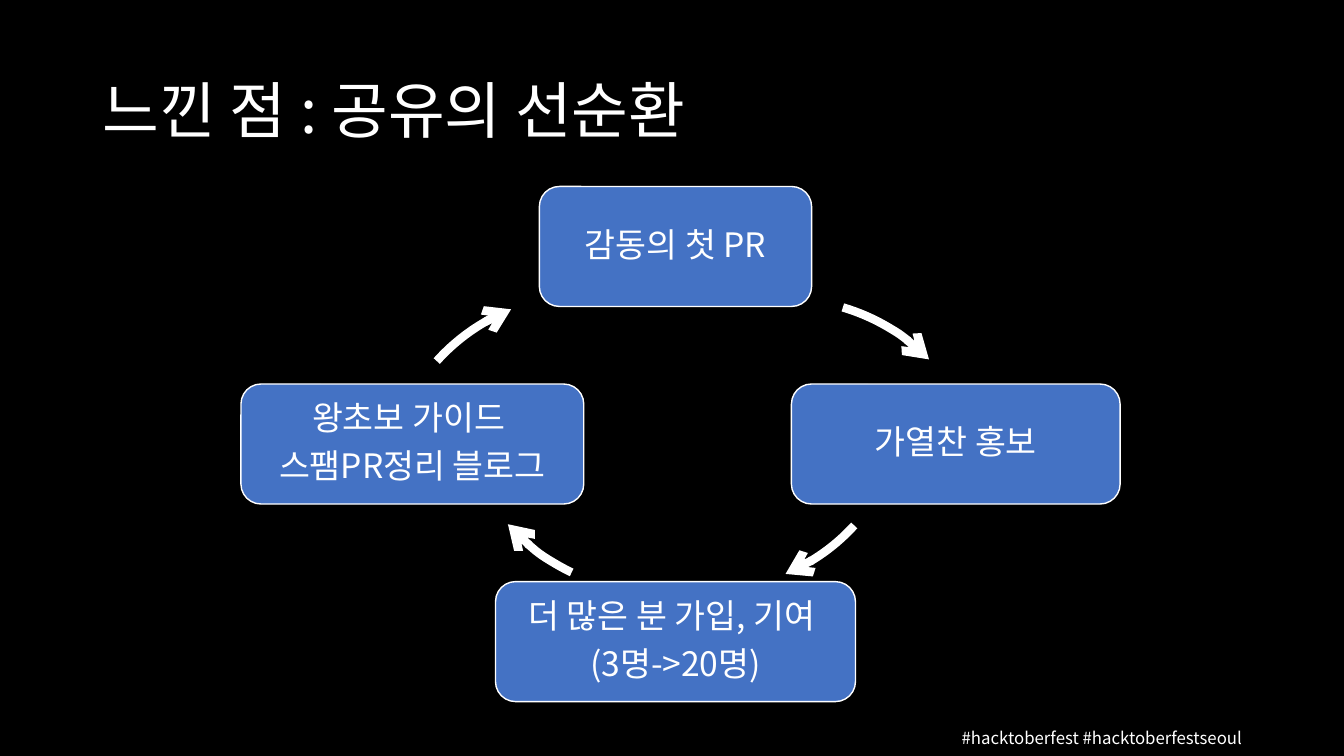
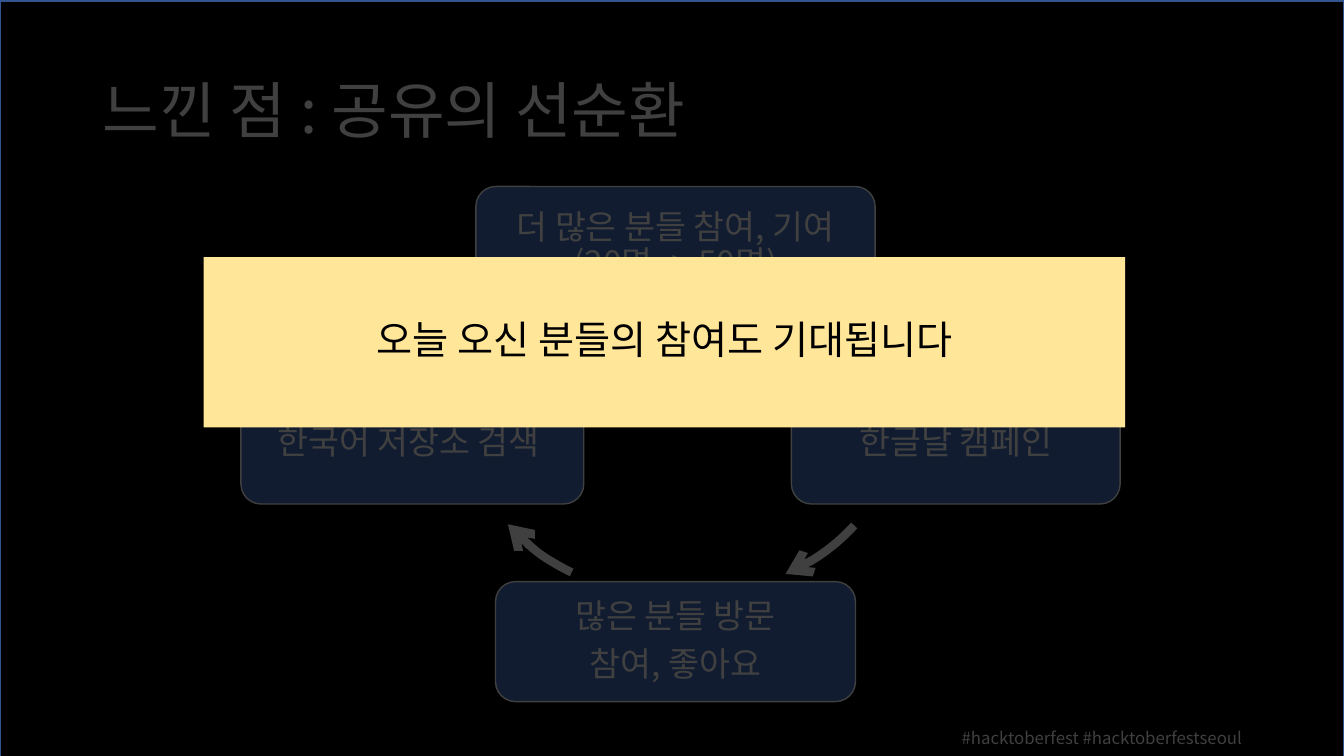
"""Builds two slides that show sharing as a cycle of four steps."""
from dataclasses import dataclass
from math import atan2, degrees

from lxml import etree
from pptx import Presentation, util as u
from pptx.dml.color import RGBColor
from pptx.enum import shapes, text
from pptx.oxml.ns import qn

PX = 9144
WIDE, HIGH = 1333, 750


@dataclass(frozen=True)
class Theme:
    font: str = "Noto Sans CJK KR"
    back: str = "000000"
    ink: str = "FFFFFF"
    box: str = "4472C4"
    edge: str = "325491"
    note: str = "FFE699"
    head: int = 44
    call: int = 28
    body: int = 24
    foot: int = 12
    lead: float = 0.9
    after: float = 8.4
    thin: int = 1
    bold: int = 6
    veil: int = 75


T = Theme()
TITLE = "느낀 점 : 공유의 선순환"
TAGS = "#hacktoberfest #hacktoberfestseoul"
CALL = "오늘 오신 분들의 참여도 기대됩니다"

BOX_H = 119
RING = 393
SPOTS = [(670, 185), (948, 381), (670, 577), (409, 381)]
LOW = [
    ((506, 192), (847, 521), (779, 569)),
    ((455, 194), (567, 568), (504, 520)),
]
SLIDES = [
    {
        "steps": [
            (270, ["감동의 첫 PR"]),
            (326, ["가열찬 홍보"]),
            (357, ["더 많은 분 가입, 기여 ", "(3명->20명)"]),
            (340, ["왕초보 가이드 ", "스팸PR정리 블로그"]),
        ],
        "bends": [
            ((584, 297), (836, 305), (921, 357)),
            ((383, 293), (433, 358), (507, 307)),
        ],
        "call": None,
    },
    {
        "steps": [
            (396, ["더 많은 분들 참여, 기여 (20명 -> 50명)"]),
            (326, ["한글날 캠페인"]),
            (357, ["많은 분들 방문", "참여, 좋아요"]),
            (340, ["한국어 저장소 검색 "]),
        ],
        "bends": [
            ((506, 297), (779, 313), (847, 360)),
            ((455, 294), (504, 361), (567, 313)),
        ],
        "call": CALL,
    },
]


def rgb(tint):
    return RGBColor.from_string(tint)


def emu(*nums):
    return [round(n * PX) for n in nums]


def write(shape, lines, size, tint=T.ink, lead=T.lead, after=0, mid=True):
    frame = shape.text_frame
    frame.word_wrap = True
    frame.vertical_anchor = text.MSO_ANCHOR.MIDDLE
    frame.text = "\n".join(lines)
    for para in frame.paragraphs:
        para.alignment = text.PP_ALIGN.CENTER if mid else text.PP_ALIGN.LEFT
        para.line_spacing = lead
        para.space_after = u.Pt(after)
        for run in para.runs:
            run.font.name = T.font
            run.font.size = u.Pt(size)
            run.font.color.rgb = rgb(tint)


def label(slide, area, line, size, **style):
    write(slide.shapes.add_textbox(*emu(*area)), [line], size, **style)


def block(slide, kind, area, fill, line=None):
    shape = slide.shapes.add_shape(kind, *emu(*area))
    shape.shadow.inherit = False
    shape.fill.solid()
    shape.fill.fore_color.rgb = rgb(fill)
    if line:
        shape.line.color.rgb = rgb(line)
        shape.line.width = u.Pt(T.thin)
    else:
        shape.line.fill.background()
    return shape


def step(slide, spot, width, lines):
    mid, top = spot
    shape = block(slide, shapes.MSO_SHAPE.ROUNDED_RECTANGLE,
                  (mid - width / 2, top, width, BOX_H), T.box, T.ink)
    frame = shape.text_frame
    frame.margin_top = frame.margin_bottom = u.Inches(0.1)
    write(shape, lines, T.body, after=T.after)


def arrow(slide, spot, *ends):
    left, top = spot
    shape = slide.shapes.add_shape(shapes.MSO_SHAPE.ARC,
                                   *emu(left, top, RING, RING))
    for i, (x, y) in enumerate(ends):
        turn = atan2(y - top - RING / 2, x - left - RING / 2)
        shape.adjustments[i] = degrees(turn) % 360 * 0.6
    shape.shadow.inherit = False
    shape.fill.background()
    shape.line.color.rgb = rgb(T.ink)
    shape.line.width = u.Pt(T.bold)
    line = shape._element.spPr.find(qn("a:ln"))
    etree.SubElement(line, qn("a:tailEnd"), type="arrow")


def cover(slide, line):
    rect = shapes.MSO_SHAPE.RECTANGLE
    veil = block(slide, rect, (0, 1, WIDE, 759), T.back, T.edge)
    tint = veil._element.spPr.find(qn("a:solidFill"))[0]
    etree.SubElement(tint, qn("a:alpha"), val=str(T.veil * 1000))
    note = block(slide, rect, (202, 255, 914, 169), T.note)
    write(note, [line], T.call, tint=T.back)


def build(deck, data):
    slide = deck.slides.add_slide(deck.slide_layouts[6])
    slide.background.fill.solid()
    slide.background.fill.fore_color.rgb = rgb(T.back)
    label(slide, (92, 40, 1150, 145), TITLE, T.head, mid=False)
    label(slide, (868, 714, 450, 35), TAGS, T.foot, lead=1.0)
    for spot, (width, lines) in zip(SPOTS, data["steps"]):
        step(slide, spot, width, lines)
    for bend in data["bends"] + LOW:
        arrow(slide, *bend)
    if data["call"]:
        cover(slide, data["call"])


def main():
    deck = Presentation()
    deck.slide_width, deck.slide_height = emu(WIDE, HIGH)
    for data in SLIDES:
        build(deck, data)
    deck.save("out.pptx")


if __name__ == "__main__":
    main()
